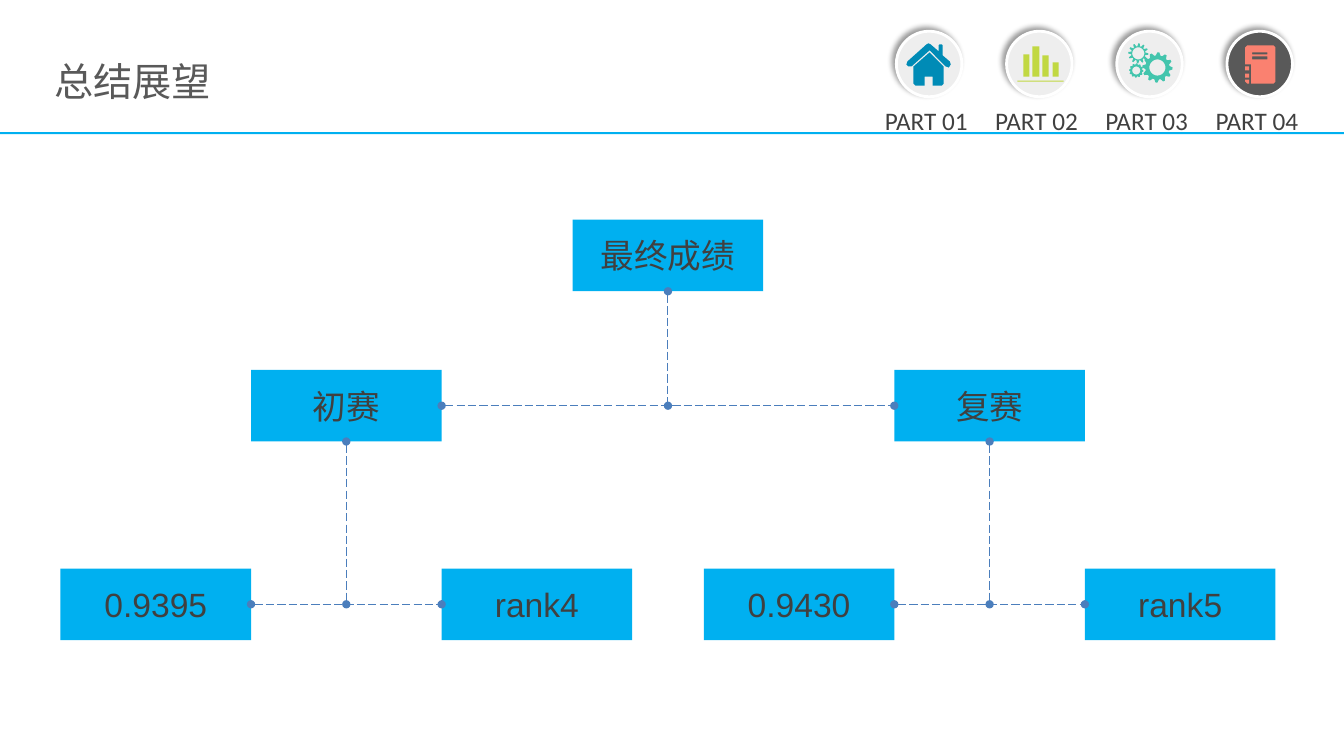
from math import cos, pi, sin
from lxml.etree import SubElement
from pptx import Presentation
from pptx.enum.dml import MSO_LINE
from pptx.enum.shapes import MSO_CONNECTOR, MSO_SHAPE
from pptx.enum.text import MSO_ANCHOR, PP_ALIGN
from pptx.dml.color import RGBColor
from pptx.oxml import parse_xml
from pptx.oxml.ns import nsdecls, qn
from pptx.util import Inches, Pt

CJK = "Noto Sans CJK SC"
BLUE = "00B0F0"
DARK = "404040"
CORAL = "FA8170"


def paint(fill, color):
    fill.solid()
    fill.fore_color.rgb = RGBColor.from_string(color)


def write_text(shape, text, size=24, font=CJK, color=DARK, align=PP_ALIGN.CENTER,
               anchor=MSO_ANCHOR.MIDDLE, wrap=True):
    frame = shape.text_frame
    frame.word_wrap = wrap
    frame.vertical_anchor = anchor
    paragraph = frame.paragraphs[0]
    paragraph.alignment = align
    run = paragraph.add_run()
    run.text = text
    run.font.size = Pt(size)
    run.font.name = font
    paint(run.font.fill, color)
    SubElement(run.font._element, qn("a:ea"), typeface=font)


presentation = Presentation()
presentation.slide_width = Inches(13.33)
presentation.slide_height = Inches(7.5)
slide = presentation.slides.add_slide(presentation.slide_layouts[5])
shapes = slide.shapes

title = shapes.title
title.left, title.top = Inches(0.44), Inches(0.52)
title.width, title.height = Inches(1.77), Inches(0.57)
write_text(title, "总结展望", size=28, color="595959", align=PP_ALIGN.LEFT,
           anchor=MSO_ANCHOR.TOP, wrap=False)

header_rule = shapes.add_shape(MSO_SHAPE.RECTANGLE, 0, Inches(1.31), Inches(13.33), Inches(0.02))
header_rule.shadow.inherit = False
paint(header_rule.fill, BLUE)
header_rule.line.fill.background()

for index, badge_color in enumerate(["EEEEEE", "EEEEEE", "EEEEEE", "595959"]):
    offset = index * 1.093
    badge = shapes.add_shape(MSO_SHAPE.OVAL, Inches(8.89 + offset), Inches(0.31),
                             Inches(0.65), Inches(0.65))
    paint(badge.fill, badge_color)
    paint(badge.line.fill, "FFFFFF")
    badge.line.width = Pt(2)
    badge._element.spPr.append(parse_xml(
        f'<a:effectLst {nsdecls("a")}><a:outerShdw blurRad="50800" dist="38100" dir="13500000">'
        '<a:srgbClr val="000000"><a:alpha val="40000"/></a:srgbClr></a:outerShdw></a:effectLst>'))
    label = shapes.add_textbox(Inches(8.67 + offset), Inches(1), Inches(1.09), Inches(0.4))
    write_text(label, f"PART 0{index + 1} ", size=18, font="Calibri", anchor=MSO_ANCHOR.TOP)

house_body = [(9.06, 0.66), (9.06, 0.83), (9.08, 0.85), (9.17, 0.85), (9.17, 0.76), (9.25, 0.76),
              (9.25, 0.85), (9.34, 0.85), (9.36, 0.83), (9.36, 0.66), (9.22, 0.52)]
house_roof = [(9.42, 0.61), (9.35, 0.55), (9.35, 0.45), (9.34, 0.44), (9.32, 0.44), (9.31, 0.45),
              (9.31, 0.51), (9.23, 0.44), (9.21, 0.43), (9.19, 0.44), (9, 0.61), (8.99, 0.64),
              (9.01, 0.66), (9.04, 0.66), (9.22, 0.5), (9.38, 0.66), (9.41, 0.67), (9.43, 0.64)]
bars = [[(left, top), (right, top), (right, bottom), (left, bottom)]
        for left, top, right, bottom in [
            (10.09, 0.8, 10.55, 0.81), (10.15, 0.54, 10.21, 0.76), (10.24, 0.46, 10.31, 0.76),
            (10.34, 0.55, 10.4, 0.76), (10.44, 0.62, 10.5, 0.76)]]
notebook = [(12.37, 0.45), (12.63, 0.45), (12.65, 0.47), (12.65, 0.81), (12.63, 0.83),
            (12.41, 0.83), (12.41, 0.64), (12.35, 0.64), (12.35, 0.47)]
notebook_lines = [[(12.42, top), (12.42, bottom), (12.57, bottom), (12.57, top)]
                  for top, bottom in [(0.52, 0.54), (0.56, 0.59)]]
notebook_corner = [(12.39, 0.83), (12.37, 0.83), (12.35, 0.81), (12.35, 0.79), (12.39, 0.79)]
icons = [("008BB6", [house_body]), ("008BB6", [house_roof]), ("C1D842", bars),
         (CORAL, [notebook] + notebook_lines), (CORAL, [notebook_corner])]

for center_x, center_y, tip, root, hole in [(11.48, 0.67, 0.15, 0.12, 0.08),
                                            (11.29, 0.53, 0.1, 0.07, 0.06),
                                            (11.27, 0.7, 0.07, 0.06, 0.04)]:
    teeth = [(tip if step % 4 < 2 else root, step * pi / 24) for step in range(48)]
    opening = [(hole, -step * pi / 24) for step in range(48)]
    icons.append(("43C5AD", [[(center_x + radius * cos(angle), center_y + radius * sin(angle))
                              for radius, angle in ring] for ring in (teeth, opening)]))

for color, contours in icons:
    outlines = [[(Inches(x), Inches(y)) for x, y in contour] for contour in contours]
    builder = shapes.build_freeform(*outlines[0][0])
    builder.add_line_segments(outlines[0][1:])
    for outline in outlines[1:]:
        builder.move_to(*outline[0])
        builder.add_line_segments(outline[1:])
    icon = builder.convert_to_shape()
    icon.shadow.inherit = False
    paint(icon.fill, color)
    icon.line.fill.background()

for top in (0.66, 0.73):
    binding = shapes.add_shape(MSO_SHAPE.RECTANGLE, Inches(12.35), Inches(top),
                               Inches(0.04), Inches(0.04))
    binding.shadow.inherit = False
    paint(binding.fill, CORAL)
    binding.line.fill.background()

boxes = {}
for text, left, top, font in [("最终成绩", 5.68, 2.18, CJK),
                              ("初赛", 2.49, 3.67, CJK), ("复赛", 8.87, 3.67, CJK),
                              ("0.9395", 0.6, 5.64, "Arial"), ("rank4", 4.38, 5.64, "Arial"),
                              ("0.9430", 6.98, 5.64, "Arial"), ("rank5", 10.76, 5.64, "Arial")]:
    box = shapes.add_shape(MSO_SHAPE.RECTANGLE, Inches(left), Inches(top),
                           Inches(1.89), Inches(0.71))
    box.shadow.inherit = False
    paint(box.fill, BLUE)
    box.line.fill.background()
    write_text(box, text, font=font)
    boxes[text] = box

for parent, left_child, right_child in [("最终成绩", "初赛", "复赛"),
                                        ("初赛", "0.9395", "rank4"),
                                        ("复赛", "0.9430", "rank5")]:
    center = boxes[parent].left + boxes[parent].width // 2
    middle = boxes[left_child].top + boxes[left_child].height // 2
    branch = shapes.add_connector(MSO_CONNECTOR.STRAIGHT, 0, 0, 0, 0)
    branch.begin_connect(boxes[left_child], 3)
    branch.end_connect(boxes[right_child], 1)
    stem = shapes.add_connector(MSO_CONNECTOR.STRAIGHT, center, middle, center, middle)
    stem.begin_connect(boxes[parent], 2)
    for connector in (branch, stem):
        paint(connector.line.fill, "4B7EBC")
        connector.line.width = Pt(0.75)
        connector.line.dash_style = MSO_LINE.LONG_DASH
        line = connector.line._get_or_add_ln()
        SubElement(line, qn("a:headEnd"), type="oval")
        SubElement(line, qn("a:tailEnd"), type="oval")
        SubElement(connector._element.spPr, qn("a:effectLst"))

presentation.save("out.pptx")
